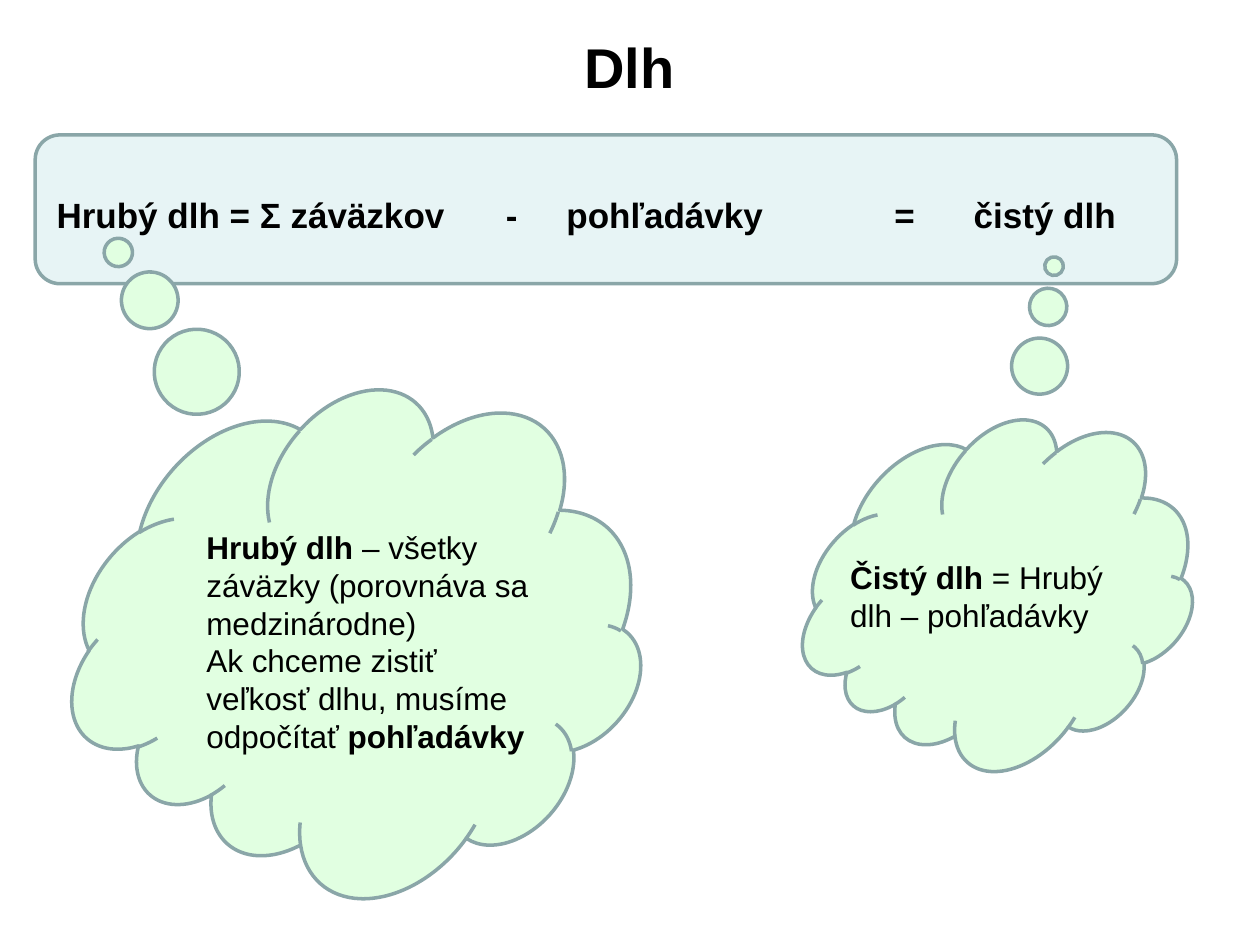
from lxml import etree
from pptx import Presentation
from pptx.dml.color import RGBColor
from pptx.enum.shapes import MSO_SHAPE
from pptx.enum.text import MSO_ANCHOR, MSO_AUTO_SIZE
from pptx.oxml.ns import qn
from pptx.util import Cm, Pt

ROUNDED, RECT, CLOUD = (MSO_SHAPE.ROUNDED_RECTANGLE, MSO_SHAPE.RECTANGLE,
                        MSO_SHAPE.CLOUD_CALLOUT)
MIDDLE, TOP = MSO_ANCHOR.MIDDLE, MSO_ANCHOR.TOP
FIT_SHAPE = MSO_AUTO_SIZE.SHAPE_TO_FIT_TEXT

FONT, INK = "Arial", "000000"
BAR_FILL, CLOUD_FILL, OUTLINE = "E7F4F5", "E1FFE1", "8AA6A8"
CLOUD_TURN = 221.7
INSET = 0.25

# Places are left, top, width, height in cm; a run is (text, bold).
TITLE = ("Dlh", (11.53, 0.53, 2.34, 1.63))
BAR = (0.71, 2.72, 23.01, 3.0)

# Formula terms from back to front: text, place, left inset, tab stop
TERMS = [
    ("=\tčistý dlh", (15.49, 3.43, 7.8, 1.8), 2.54, 1.6),
    ("-\tpohľadávky", (7.9, 3.53, 9.8, 1.6), 2.3, 1.22),
    ("Hrubý dlh = Σ záväzkov", (0.89, 3.12, 8.41, 2.39), INSET, None),
]

CLOUDS = [
    {
        "place": (2.29, 7.37, 10.29, 10.8),
        "tail": (0.863, 0.22),
        "text_place": (3.91, 10.52, 7.39, 5.64),
        "paragraphs": [
            [("Hrubý dlh", True),
             (" – všetky záväzky (porovnáva sa medzinárodne)", False)],
            [("Ak chceme zistiť veľkosť dlhu, musíme odpočítať ", False),
             ("pohľadávky", True)],
        ],
    },
    {
        "place": (16.92, 8.0, 6.78, 7.72),
        "tail": (0.534, 0.709),
        "text_place": (16.89, 11.13, 5.99, 1.8),
        "paragraphs": [
            [("Čistý dlh", True), (" = Hrubý dlh – pohľadávky", False)],
        ],
    },
]


def color(hex_string):
    return RGBColor.from_string(hex_string)


def place_cm(place):
    return [Cm(length) for length in place]


def add_panel(slide, kind, place, fill, line=None):
    panel = slide.shapes.add_shape(kind, *place_cm(place))
    panel.shadow.inherit = False
    panel.fill.solid()
    panel.fill.fore_color.rgb = color(fill)
    if line:
        panel.line.color.rgb = color(line)
        panel.line.width = Pt(2)
    else:
        panel.line.fill.background()
    return panel


def add_tab_stop(paragraph, position):
    properties = paragraph._p.get_or_add_pPr()
    stops = etree.SubElement(properties, qn("a:tabLst"))
    etree.SubElement(stops, qn("a:tab"), pos=str(Cm(position)), algn="l")


def write(shape, paragraphs, size, anchor=TOP, wrap=True, left=INSET,
          right=INSET, tab=None, fit=False):
    frame = shape.text_frame
    frame.word_wrap = wrap
    frame.vertical_anchor = anchor
    frame.margin_left, frame.margin_right = Cm(left), Cm(right)
    if fit:
        frame.auto_size = FIT_SHAPE
    for index, runs in enumerate(paragraphs):
        paragraph = frame.add_paragraph() if index else frame.paragraphs[0]
        paragraph.alignment = 1  # left
        if tab:
            add_tab_stop(paragraph, tab)
        for text, bold in runs:
            run = paragraph.add_run()
            run.text = text
            run.font.name, run.font.size, run.font.bold = FONT, Pt(size), bold
            run.font.color.rgb = color(INK)


def main():
    deck = Presentation()
    deck.slide_width, deck.slide_height = Cm(25.4), Cm(19.05)
    slide = deck.slides.add_slide(deck.slide_layouts[6])

    add_panel(slide, ROUNDED, BAR, BAR_FILL, OUTLINE)
    for text, place, left, tab in TERMS:
        term = add_panel(slide, RECT, place, BAR_FILL)
        write(term, [[(text, True)]], 20, anchor=MIDDLE, left=left, right=0,
              tab=tab)

    title, title_place = TITLE
    heading = slide.shapes.add_textbox(*place_cm(title_place))
    write(heading, [[(title, True)]], 32, wrap=False, fit=True)

    for cloud in CLOUDS:
        bubble = add_panel(slide, CLOUD, cloud["place"], CLOUD_FILL, OUTLINE)
        bubble.rotation = CLOUD_TURN
        for index, offset in enumerate(cloud["tail"]):
            bubble.adjustments[index] = offset
        definition = slide.shapes.add_textbox(*place_cm(cloud["text_place"]))
        write(definition, cloud["paragraphs"], 18, fit=True)

    deck.save("out.pptx")


if __name__ == "__main__":
    main()
